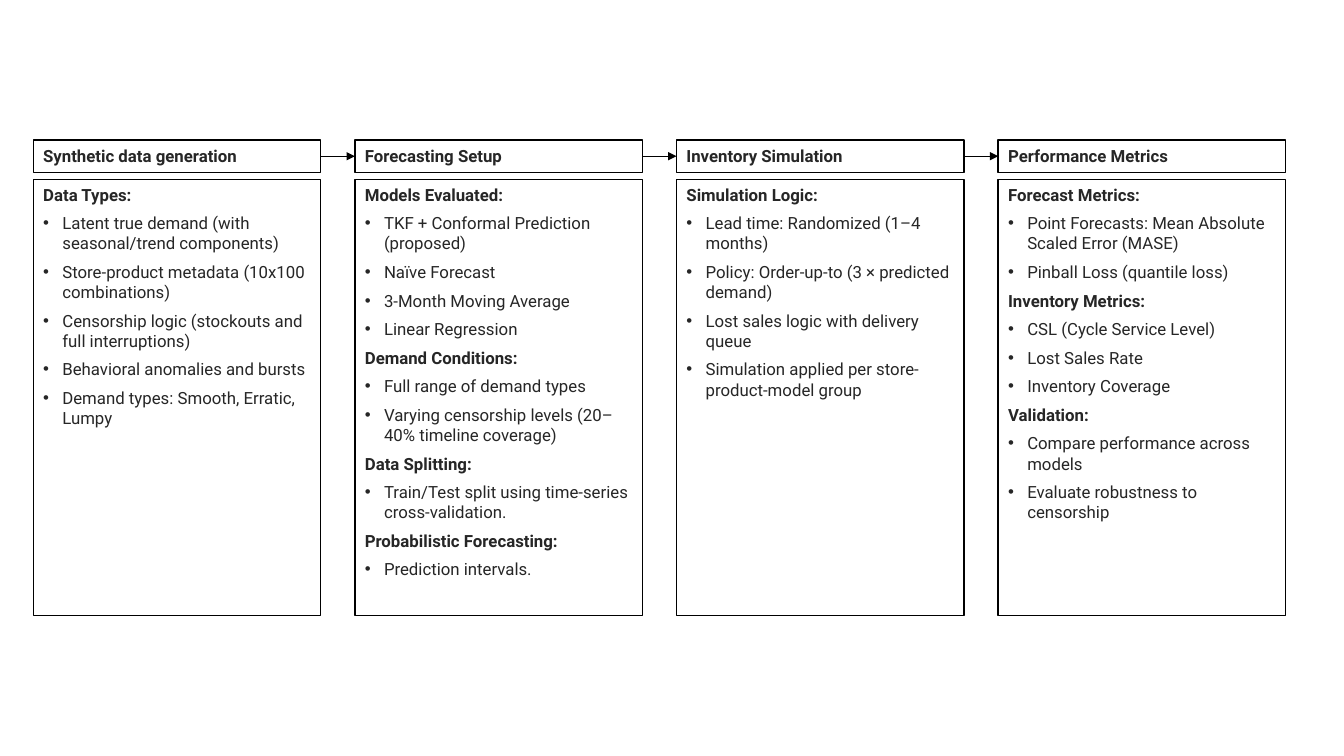
"""Build a four-stage workflow slide for a demand forecasting experiment."""
import itertools

import lxml.etree
import pptx
import pptx.dml.color
import pptx.enum.shapes
import pptx.enum.text
import pptx.oxml.ns
import pptx.util

STAGES = [
    ("Synthetic data generation", {
        "Data Types:": [
            "Latent true demand (with seasonal/trend components)",
            "Store-product metadata (10x100 combinations)",
            "Censorship logic (stockouts and full interruptions)",
            "Behavioral anomalies and bursts",
            "Demand types: Smooth, Erratic, Lumpy",
        ],
    }),
    ("Forecasting Setup", {
        "Models Evaluated:": [
            "TKF + Conformal Prediction (proposed)",
            "Naïve Forecast",
            "3-Month Moving Average",
            "Linear Regression",
        ],
        "Demand Conditions:": [
            "Full range of demand types",
            "Varying censorship levels (20–40% timeline coverage)",
        ],
        "Data Splitting:": ["Train/Test split using time-series cross-validation."],
        "Probabilistic Forecasting:": ["Prediction intervals."],
    }),
    ("Inventory Simulation", {
        "Simulation Logic:": [
            "Lead time: Randomized (1–4 months)",
            "Policy: Order-up-to (3 × predicted demand)",
            "Lost sales logic with delivery queue",
            "Simulation applied per store-product-model group",
        ],
    }),
    ("Performance Metrics", {
        "Forecast Metrics:": [
            "Point Forecasts: Mean Absolute Scaled Error (MASE)",
            "Pinball Loss (quantile loss)",
        ],
        "Inventory Metrics:": [
            "CSL (Cycle Service Level)",
            "Lost Sales Rate",
            "Inventory Coverage",
        ],
        "Validation:": [
            "Compare performance across models",
            "Evaluate robustness to censorship",
        ],
    }),
]

COLORS = {"border": "000000", "text": "262626"}
FONT = {"name": "Roboto", "size": pptx.util.Pt(12)}
ANCHOR = pptx.enum.text.MSO_ANCHOR
HEADER_FRAME = {"word_wrap": True, "vertical_anchor": ANCHOR.MIDDLE}
DETAIL_FRAME = {"word_wrap": True, "vertical_anchor": ANCHOR.TOP}
HEADER_PARAGRAPH = {"alignment": pptx.enum.text.PP_ALIGN.LEFT}
DETAIL_PARAGRAPH = {**HEADER_PARAGRAPH, "space_after": pptx.util.Pt(6)}

SLIDE_WIDTH, SLIDE_HEIGHT = 13.33, 7.5
LEFT, COLUMN_WIDTH, COLUMN_PITCH = 0.33, 2.85, 3.19
HEADER_TOP, HEADER_HEIGHT = 1.39, 0.32
DETAIL_TOP, DETAIL_HEIGHT = 1.78, 4.33
BULLET_INDENT = 0.19

inches = pptx.util.Inches


def apply_format(target, values):
    for attribute, value in values.items():
        setattr(target, attribute, value)


def color(role):
    return pptx.dml.color.RGBColor.from_string(COLORS[role])


def add_child(parent, tag, **attributes):
    return lxml.etree.SubElement(parent, pptx.oxml.ns.qn(tag), attributes)


def draw_border(line):
    line.color.rgb = color("border")
    line.width = pptx.util.Pt(1)


def add_box(slide, left, top, height, lines, frame_format, paragraph_format):
    box = slide.shapes.add_shape(
        pptx.enum.shapes.MSO_SHAPE.RECTANGLE,
        *map(inches, (left, top, COLUMN_WIDTH, height)))
    box.shadow.inherit = False
    box.fill.background()
    draw_border(box.line)
    apply_format(box.text_frame, frame_format)
    for index, (wording, is_heading) in enumerate(lines):
        paragraph = (box.text_frame.add_paragraph() if index
                     else box.text_frame.paragraphs[0])
        apply_format(paragraph, paragraph_format)
        if not is_heading:
            properties = paragraph._p.get_or_add_pPr()
            properties.set("marL", str(inches(BULLET_INDENT)))
            properties.set("indent", str(-inches(BULLET_INDENT)))
            add_child(properties, "a:buFont", typeface="Arial")
            add_child(properties, "a:buChar", char="•")
        run = paragraph.add_run()
        run.text = wording
        apply_format(run.font, {**FONT, "bold": is_heading})
        run.font.color.rgb = color("text")


def add_arrow(slide, start, end, level):
    arrow = slide.shapes.add_connector(
        pptx.enum.shapes.MSO_CONNECTOR.STRAIGHT,
        *map(inches, (start, level, end, level)))
    draw_border(arrow.line)
    add_child(arrow.line._get_or_add_ln(), "a:tailEnd", type="triangle")
    add_child(arrow._element.spPr, "a:effectLst")


def main():
    deck = pptx.Presentation()
    apply_format(deck, {"slide_width": inches(SLIDE_WIDTH),
                        "slide_height": inches(SLIDE_HEIGHT)})
    slide = deck.slides.add_slide(deck.slide_layouts[6])
    column_lefts = [LEFT + i * COLUMN_PITCH for i in range(len(STAGES))]

    for left, (stage, sections) in zip(column_lefts, STAGES):
        details = [line for heading, points in sections.items()
                   for line in [(heading, True), *((p, False) for p in points)]]
        add_box(slide, left, HEADER_TOP, HEADER_HEIGHT, [(stage, True)],
                HEADER_FRAME, HEADER_PARAGRAPH)
        add_box(slide, left, DETAIL_TOP, DETAIL_HEIGHT, details,
                DETAIL_FRAME, DETAIL_PARAGRAPH)

    for left, next_left in itertools.pairwise(column_lefts):
        add_arrow(slide, left + COLUMN_WIDTH, next_left,
                  HEADER_TOP + HEADER_HEIGHT / 2)

    deck.save("out.pptx")


if __name__ == "__main__":
    main()
